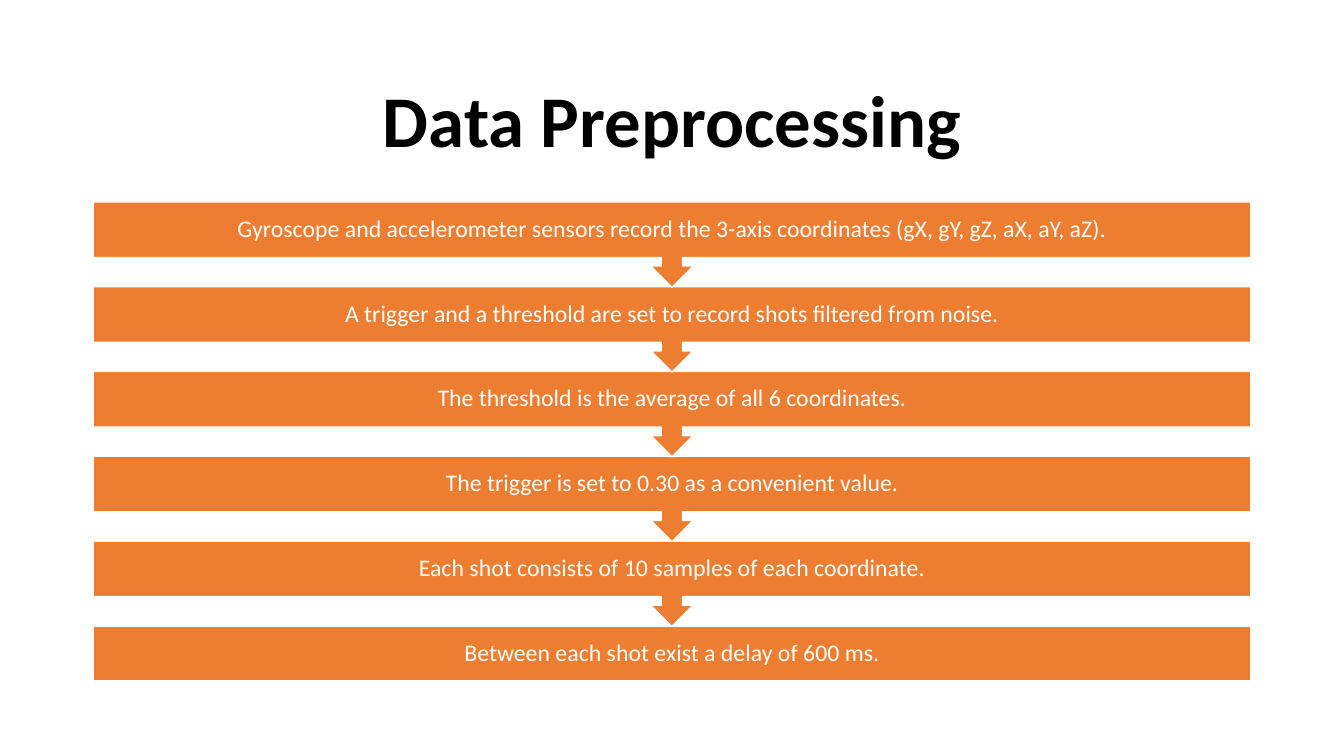
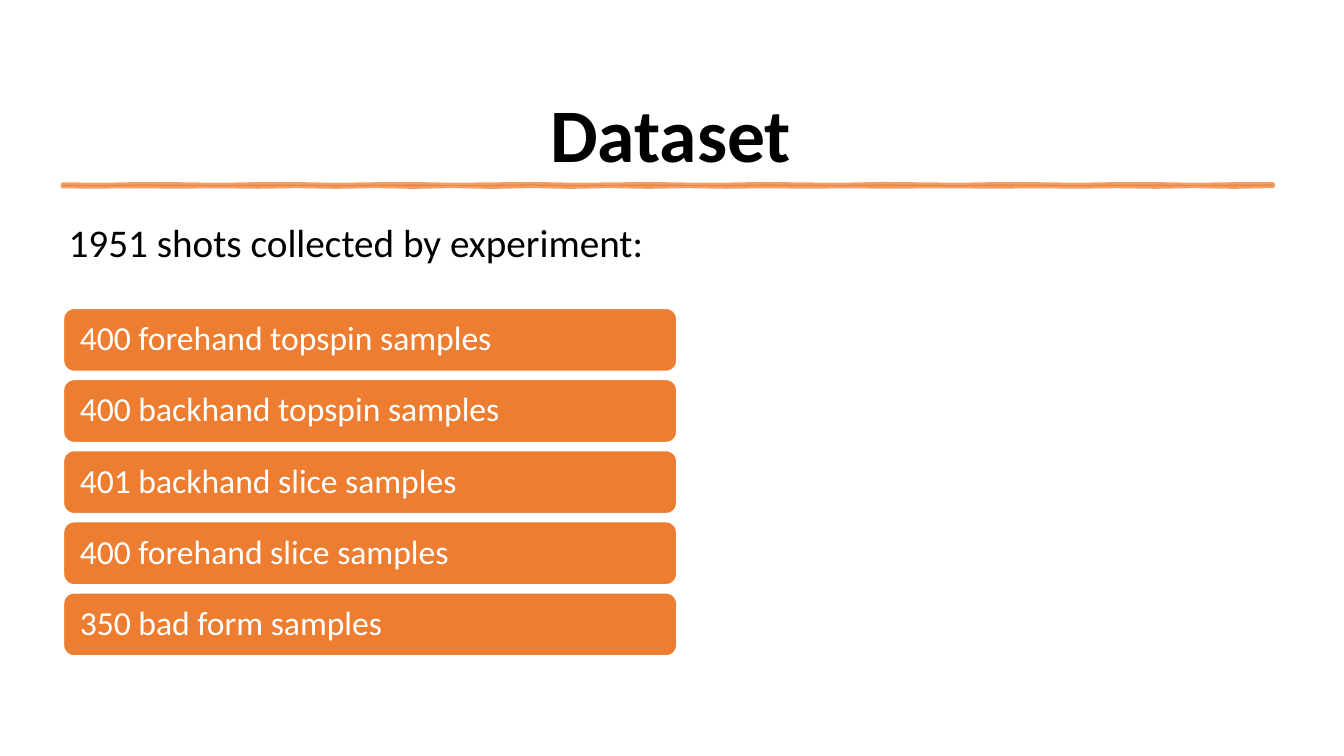
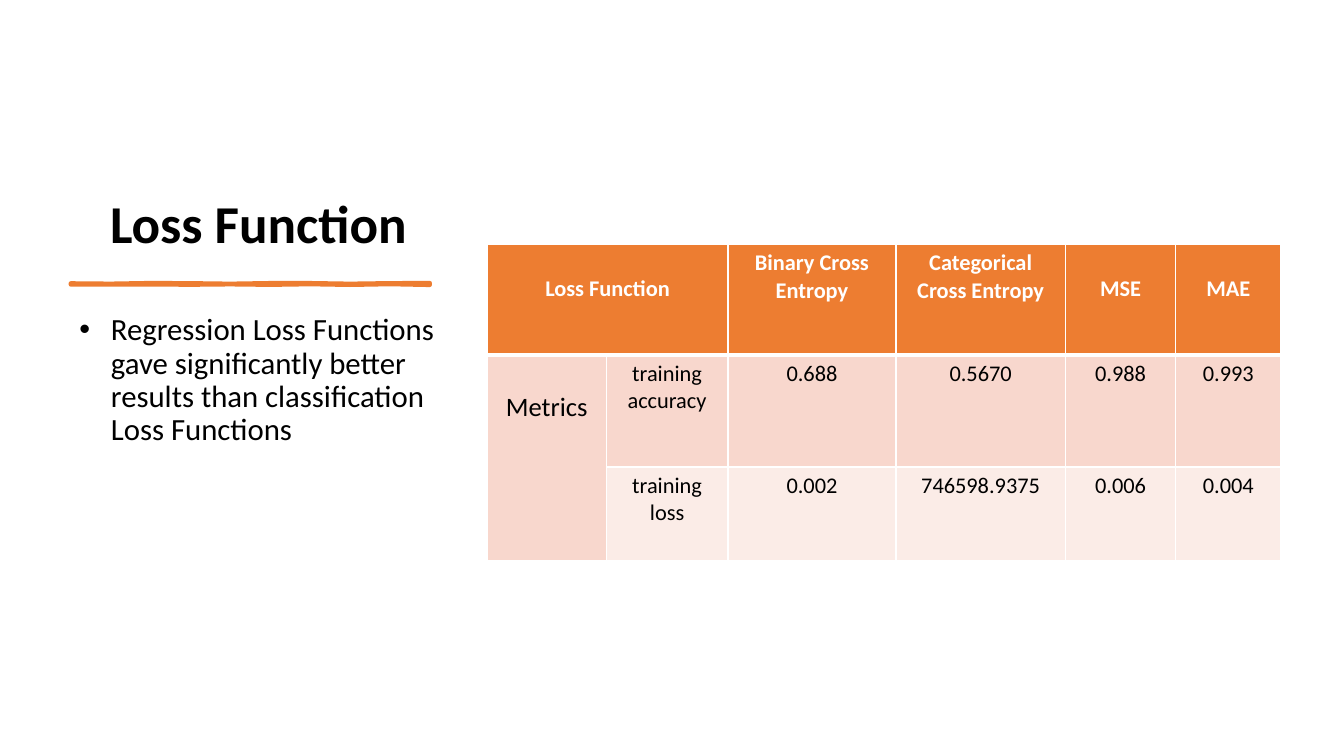
from dataclasses import dataclass
from math import sin
from typing import Any, NamedTuple

from lxml.etree import SubElement
from pptx import Presentation
from pptx.dml.color import RGBColor as RGB
from pptx.enum.shapes import MSO_SHAPE as SHAPE
from pptx.enum.text import MSO_ANCHOR as ANCHOR, MSO_AUTO_SIZE as AUTO, PP_ALIGN as ALIGN
from pptx.oxml.ns import qn
from pptx.util import Pt


@dataclass(frozen=True)
class Theme:
    font: str = "Calibri"
    accent: str = "ED7D31"
    band_dark: str = "F8D7CD"
    band_light: str = "FBECE7"
    white: str = "FFFFFF"
    black: str = "000000"
    title_wide: float = 52
    title_large: float = 54
    title_side: float = 38
    lead: float = 28
    sample: float = 24
    bullet: float = 22
    metric: float = 19
    step: float = 17
    cell: float = 16


class Box(NamedTuple):
    left: float
    top: float
    width: float
    height: float


class Cell(NamedTuple):
    row: int
    col: int
    text: str
    size: float
    top: float


T = Theme()

STEPS = [
    "Gyroscope and accelerometer sensors record the 3-axis coordinates (gX, gY, gZ, aX, aY, aZ).",
    "A trigger and a threshold are set to record shots filtered from noise.",
    "The threshold is the average of all 6 coordinates.",
    "The trigger is set to 0.30 as a convenient value.",
    "Each shot consists of 10 samples of each coordinate.",
    "Between each shot exist a delay of 600 ms.",
]
SAMPLES = [
    "400 forehand topspin samples",
    "400 backhand topspin samples",
    "401 backhand slice samples",
    "400 forehand slice samples",
    "350 bad form samples",
]
LOSSES = [
    ["Loss Function", "", "Binary Cross Entropy", "Categorical Cross Entropy", "MSE", "MAE"],
    ["Metrics", "training accuracy", "0.688", "0.5670", "0.988", "0.993"],
    ["", "training loss", "0.002", "746598.9375", "0.006", "0.004"],
]
COL_WIDTHS = [85, 87, 120, 121, 79, 75]
ROW_HEIGHTS = [79, 80, 67]


def pts(box: Box) -> list[Pt]:
    return [Pt(v) for v in box]


def write(tf: Any, text: str, *, size: float, color: str = T.black, bold: bool = False,
          align: Any = ALIGN.LEFT, spacing: float = 1.0, bullet: bool = False) -> None:
    p = tf.paragraphs[0]
    p.alignment = align
    p.line_spacing = spacing
    if bullet:
        pPr = p._p.get_or_add_pPr()
        pPr.set("marL", str(Pt(22.5)))
        pPr.set("indent", str(-Pt(22.5)))
        SubElement(pPr, qn("a:buFont"), typeface="Arial")
        SubElement(pPr, qn("a:buChar"), char="•")
    r = p.add_run()
    r.text = text
    r.font.name = T.font
    r.font.size = Pt(size)
    r.font.bold = bold
    r.font.color.rgb = RGB.from_string(color)


def new_slide(prs: Any, title: str, box: Box, size: float, anchor: Any) -> Any:
    slide = prs.slides.add_slide(prs.slide_layouts[5])
    sp = slide.shapes.title
    sp.left, sp.top, sp.width, sp.height = pts(box)
    tf = sp.text_frame
    tf.auto_size = AUTO.NONE
    tf.word_wrap = True
    tf.vertical_anchor = anchor
    write(tf, title, size=size, bold=True, align=ALIGN.CENTER, spacing=0.9)
    return slide


def add_text(slide: Any, box: Box, text: str, **fmt: Any) -> None:
    tf = slide.shapes.add_textbox(*pts(box)).text_frame
    tf.word_wrap = True
    write(tf, text, **fmt)


def paint(sp: Any, line_color: str, line_width: float) -> None:
    sp.shadow.inherit = False
    sp.fill.solid()
    sp.fill.fore_color.rgb = RGB.from_string(T.accent)
    sp.line.color.rgb = RGB.from_string(line_color)
    sp.line.width = Pt(line_width)


def add_bar(slide: Any, kind: Any, box: Box, text: str, adjustments: list[float], **fmt: Any) -> None:
    sp = slide.shapes.add_shape(kind, *pts(box))
    for i, value in enumerate(adjustments):
        sp.adjustments[i] = value
    paint(sp, T.white, 1)
    tf = sp.text_frame
    tf.word_wrap = True
    tf.vertical_anchor = ANCHOR.MIDDLE
    tf.margin_left = tf.margin_right = tf.margin_top = tf.margin_bottom = Pt(9.4)
    write(tf, text, color=T.white, spacing=0.9, **fmt)


def add_brush_rule(slide: Any, left: float, y: float, width: float, weight: float, opacity: int = 100) -> None:
    count = round(width / 28)
    xs = [left + width * i / count for i in range(count + 1)]
    upper = [(Pt(x), Pt(y + 0.3 * sin(2 * i))) for i, x in enumerate(xs)]
    lower = [(Pt(x), Pt(y + 0.9 + 0.3 * sin(3 * i))) for i, x in enumerate(xs)]
    outline = upper + lower[::-1]
    builder = slide.shapes.build_freeform(*outline[0])
    builder.add_line_segments(outline[1:], close=True)
    sp = builder.convert_to_shape()
    paint(sp, T.accent, weight)
    if opacity < 100:
        for color in sp._element.spPr.iter(qn("a:srgbClr")):
            SubElement(color, qn("a:alpha"), val=str(opacity * 1000))
    SubElement(sp.line._get_or_add_ln(), qn("a:round"))


def style_cell(cell: Any, fill: str, top_line: float, bottom_line: float) -> None:
    tcPr = cell._tc.get_or_add_tcPr()
    for side, width in (("L", 1), ("R", 1), ("T", top_line), ("B", bottom_line)):
        ln = SubElement(tcPr, qn(f"a:ln{side}"), w=str(Pt(width)))
        SubElement(SubElement(ln, qn("a:solidFill")), qn("a:srgbClr"), val=T.white)
    cell.fill.solid()
    cell.fill.fore_color.rgb = RGB.from_string(fill)
    cell.margin_left = cell.margin_right = Pt(7.9)


def loss_cell(row: int, col: int, text: str) -> Cell:
    if text == "Metrics":
        return Cell(row, col, text, T.metric, 26)
    lowered = row == 0 and col not in (2, 3)
    return Cell(row, col, text, T.cell, 22 if lowered else 3.6)


def add_loss_table(slide: Any, left: float, top: float) -> None:
    box = Box(left, top, sum(COL_WIDTHS), sum(ROW_HEIGHTS))
    table = slide.shapes.add_table(len(ROW_HEIGHTS), len(COL_WIDTHS), *pts(box)).table
    table.horz_banding = False
    for column, width in zip(table.columns, COL_WIDTHS):
        column.width = Pt(width)
    for row, height in zip(table.rows, ROW_HEIGHTS):
        row.height = Pt(height)
    table.cell(0, 0).merge(table.cell(0, 1))
    table.cell(1, 0).merge(table.cell(2, 0))
    fills = [T.accent, T.band_dark, T.band_light]
    for i, texts in enumerate(LOSSES):
        for j, text in enumerate(texts):
            cell = table.cell(i, j)
            style_cell(cell, fills[i], 3 if i == 1 else 1, 3 if i == 0 else 1)
            if cell.is_spanned:
                continue
            item = loss_cell(i, j, text)
            cell.margin_top = Pt(item.top)
            write(cell.text_frame, item.text, size=item.size, bold=i == 0, align=ALIGN.CENTER,
                  color=T.white if i == 0 else T.black)


def preprocessing_slide(prs: Any) -> None:
    slide = new_slide(prs, "Data Preprocessing", Box(66, 44, 828, 89), T.title_wide, ANCHOR.MIDDLE)
    last = len(STEPS) - 1
    for i, text in reversed(list(enumerate(STEPS))):
        kind, height, adjustments = (
            (SHAPE.RECTANGLE, 39.5, []) if i == last
            else (SHAPE.DOWN_ARROW_CALLOUT, 61, [0.25, 0.25, 0.25, 0.65]))
        add_bar(slide, kind, Box(66.5, 144.3 + 60.55 * i, 827, height), text, adjustments,
                size=T.step, align=ALIGN.CENTER)


def dataset_slide(prs: Any) -> None:
    slide = new_slide(prs, "Dataset", Box(45, 18.7, 868, 113), T.title_large, ANCHOR.BOTTOM)
    add_brush_rule(slide, 45, 132, 864, 3.5, opacity=75)
    for i, text in enumerate(SAMPLES):
        add_bar(slide, SHAPE.ROUNDED_RECTANGLE, Box(45.4, 220.3 + 50.8 * i, 438, 45), text, [0.167],
                size=T.sample)
    add_text(slide, Box(42, 152.6, 482, 41), "1951 shots collected by experiment:", size=T.lead)


def loss_slide(prs: Any) -> None:
    slide = new_slide(prs, "Loss Function", Box(49.7, 50.4, 270, 135.4), T.title_side, ANCHOR.BOTTOM)
    add_brush_rule(slide, 50.5, 202.4, 256.5, 3)
    add_text(slide, Box(49.7, 221, 270, 268.5),
             "Regression Loss Functions gave significantly better results than classification Loss Functions",
             size=T.bullet, spacing=0.9, bullet=True)
    add_loss_table(slide, 348, 174.6)


def main() -> None:
    prs = Presentation()
    prs.slide_width, prs.slide_height = Pt(960), Pt(540)
    preprocessing_slide(prs)
    dataset_slide(prs)
    loss_slide(prs)
    prs.save("out.pptx")


if __name__ == "__main__":
    main()
